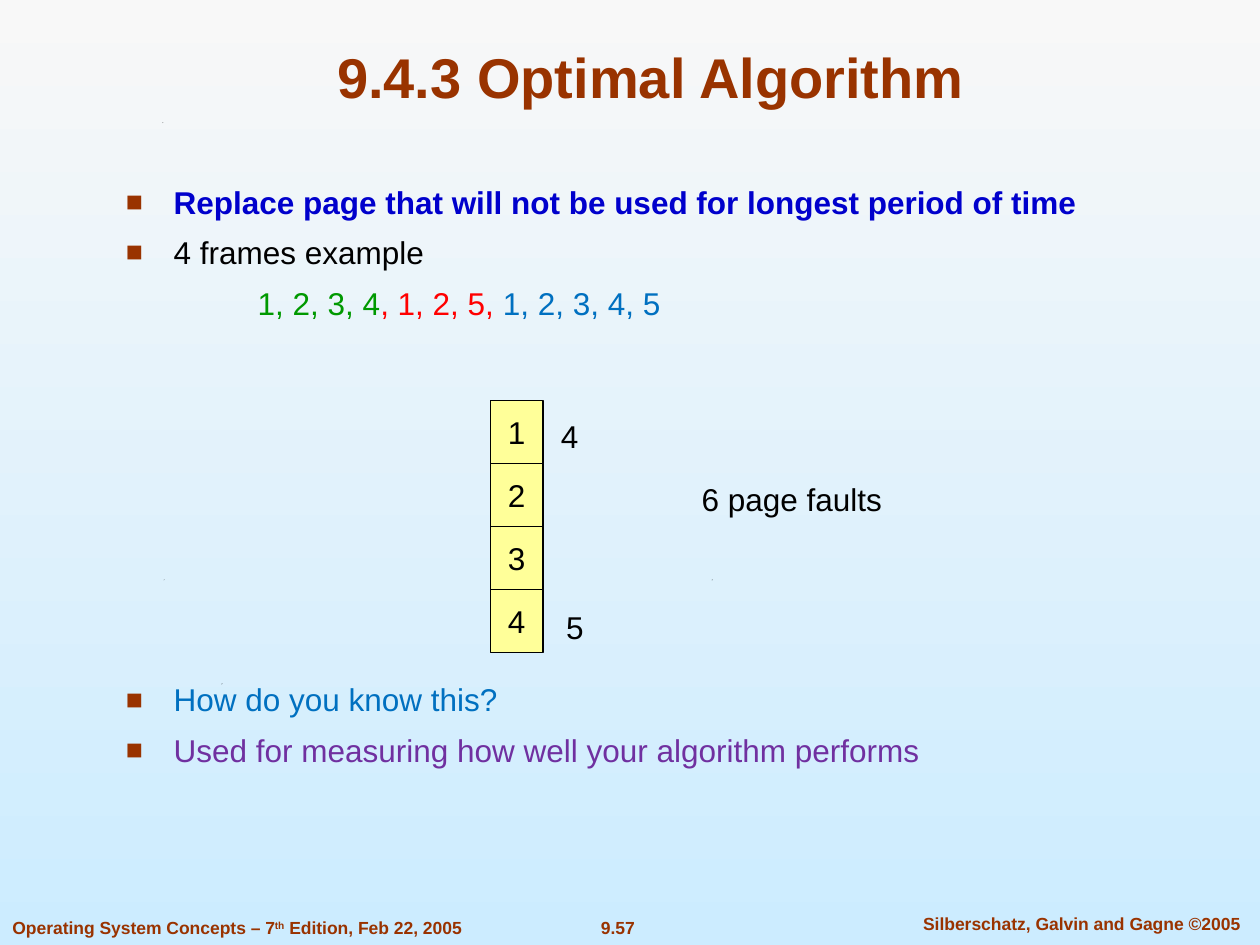
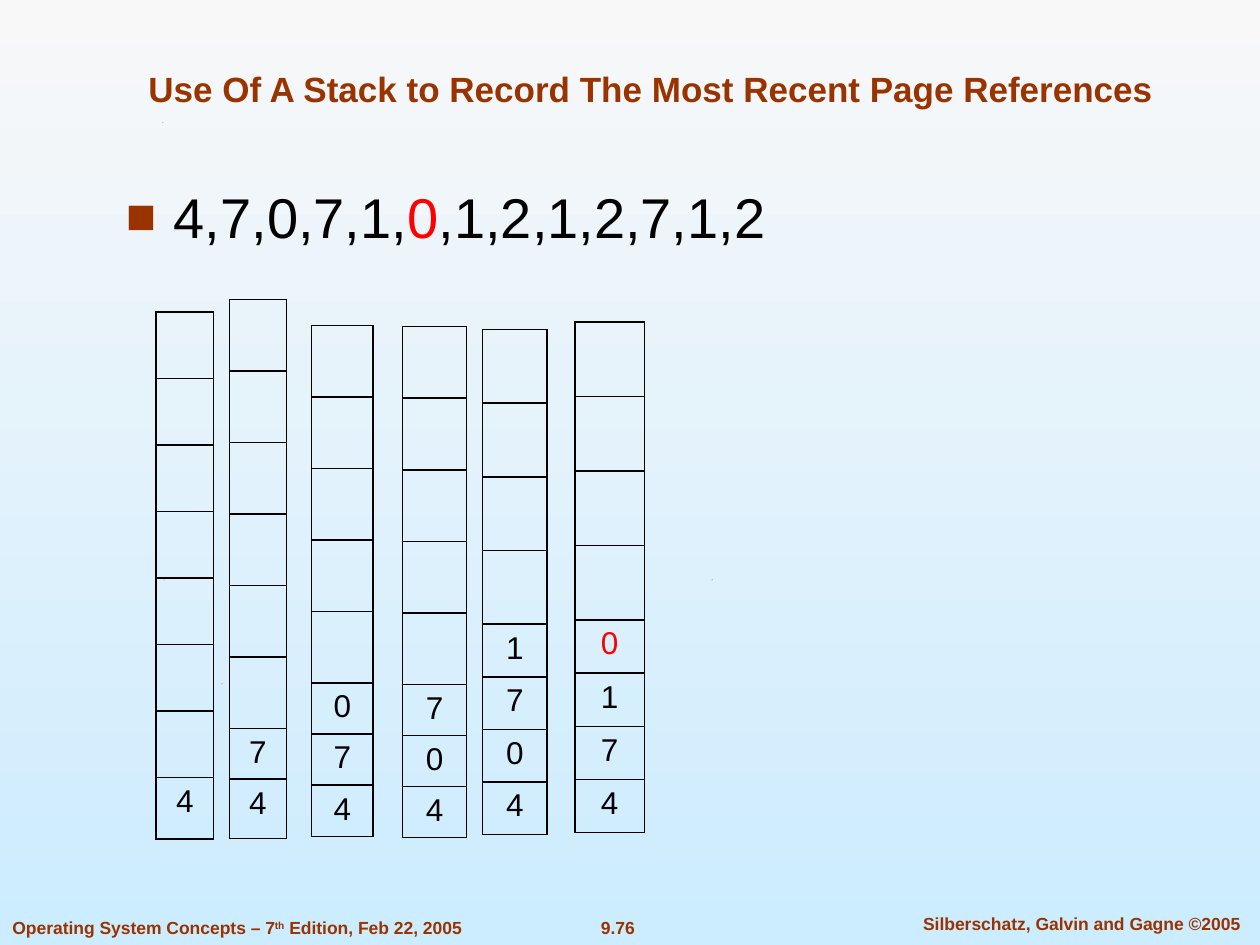
"""Build two lecture slides on page replacement."""
from dataclasses import dataclass

from lxml import etree
from pptx import Presentation
from pptx import util as u
from pptx.dml.color import RGBColor
from pptx.enum import shapes, text
from pptx.oxml import ns

Pt = u.Pt
MID, LEFT = text.PP_ALIGN.CENTER, text.PP_ALIGN.LEFT


@dataclass(frozen=True)
class Theme:
    """Colours and type sizes of the deck."""
    face: str = "Arial"
    top: str = "F8F8F8"
    base: str = "CCECFF"
    rust: str = "993300"
    ink: str = "000000"
    navy: str = "0000CC"
    green: str = "009900"
    red: str = "FF0000"
    blue: str = "0070C0"
    plum: str = "7030A0"
    cream: str = "FFFF99"
    head: int = 32
    sub: int = 20
    body: int = 18
    foot: int = 10
    rule: float = 0.75


T = Theme()


def rgb(code):
    """Turn a hex code into a colour."""
    return RGBColor.from_string(code)


def apply(item, fmt):
    """Set each attribute that the format dict names."""
    for key, val in fmt.items():
        setattr(item, key, val)


def sub(node, tag, **atts):
    """Append a drawing element to a node."""
    return etree.SubElement(node, ns.qn("a:" + tag), atts)


def span(para, words, size, tint=T.ink, bold=False, lift=None):
    """Add one formatted run."""
    run = para.add_run()
    run.text = words
    apply(run.font, dict(name=T.face, size=Pt(size), bold=bold))
    run.font.color.rgb = rgb(tint)
    if lift:
        run._r.get_or_add_rPr().set("baseline", str(lift))


def note(slide, box, runs, size=T.body, align=MID):
    """Add a one-line text box made of runs."""
    frame = slide.shapes.add_textbox(*map(Pt, box)).text_frame
    frame.word_wrap = True
    para = frame.paragraphs[0]
    para.alignment = align
    for words, fmt in runs:
        span(para, words, size, **fmt)


def points(slide, box, items, size=T.body):
    """Add a list of (indent, runs), where no indent means a bullet."""
    frame = slide.shapes.add_textbox(*map(Pt, box)).text_frame
    frame.word_wrap = True
    for i, (inset, runs) in enumerate(items):
        para = frame.add_paragraph() if i else frame.paragraphs[0]
        if i:
            para.space_before = Pt(7.25)
        props = para._p.get_or_add_pPr()
        props.set("marL", str(Pt(inset or 27.4)))
        props.set("indent", str(0 if inset else -Pt(27.4)))
        if not inset:
            sub(sub(props, "buClr"), "srgbClr", val=T.rust)
            sub(props, "buSzPct", val="90000")
            sub(props, "buFont", typeface=T.face)
            sub(props, "buChar", char="■")
        for words, fmt in runs:
            span(para, words, size, **fmt)


def paint(master):
    """Give the master its vertical gradient."""
    fill = master.background.fill
    fill.gradient()
    fill.gradient_angle = 270
    for stop, tint, pos in zip(fill.gradient_stops, (T.top, T.base), (0, 1)):
        stop.color.rgb = rgb(tint)
        stop.position = pos


def title(slide, box, words, size):
    """Place and format the title."""
    shape = slide.shapes.title
    apply(shape, dict(zip(("left", "top", "width", "height"), map(Pt, box))))
    frame = shape.text_frame
    apply(frame, dict(word_wrap=True, auto_size=text.MSO_AUTO_SIZE.NONE,
                      vertical_anchor=text.MSO_ANCHOR.BOTTOM))
    para = frame.paragraphs[0]
    para.alignment = MID
    span(para, words, size, T.rust, True)


def footer(slide, box, page):
    """Add the three footer texts inside the band."""
    x, y, w, h = box
    look = dict(tint=T.rust, bold=True)
    book = [("Operating System Concepts – 7", look),
            ("th", dict(look, lift=30000)),
            (" Edition, Feb 22, 2005", look)]
    note(slide, (x, y + 2.2, 290, h), book, T.foot, LEFT)
    note(slide, (x + 323, y + 2.2, 60, h), [(page, look)], T.foot)
    note(slide, (x + w - 208.8, y, 213.8, h),
         [("Silberschatz, Galvin and Gagne ©2005", look)], T.foot)


def specks(slide):
    """Scatter the tiny dark marks of the backdrop."""
    for x, y in ((126.7, 390.6), (93.6, 331.2), (406.8, 331.2), (92.9, 69.9)):
        pen = slide.shapes.build_freeform(Pt(x), Pt(y))
        pen.add_line_segments([(Pt(x + .5), Pt(y)), (Pt(x), Pt(y + .5))])
        mark = pen.convert_to_shape()
        mark.shadow.inherit = False
        mark.fill.solid()
        mark.fill.fore_color.rgb = rgb(T.ink)
        mark.line.fill.background()


def start(deck, words, size, page):
    """Open a slide with the shared parts."""
    slide = deck.slides.add_slide(deck.slide_layouts[5])
    specks(slide)
    title(slide, (54, 18, 635.8, 48.2), words, size)
    footer(slide, (0, 518.4, 720, 19.4), page)
    return slide


def frames(slide, box, names):
    """Stack equal page frames in the box."""
    x, y, w, h = box
    step = h / len(names)
    for i, name in enumerate(names):
        cell = slide.shapes.add_shape(
            shapes.MSO_SHAPE.RECTANGLE, *map(Pt, (x, y + i * step, w, step)))
        cell.shadow.inherit = False
        cell.fill.solid()
        cell.fill.fore_color.rgb = rgb(T.cream)
        cell.line.color.rgb = rgb(T.ink)
        cell.line.width = Pt(T.rule)
        apply(cell.text_frame, dict(
            word_wrap=False, vertical_anchor=text.MSO_ANCHOR.MIDDLE))
        para = cell.text_frame.paragraphs[0]
        para.alignment = MID
        span(para, name, T.body)


def stack(slide, box, rows, names, hot=None):
    """Draw a one-column table with its names at the bottom."""
    grid = slide.shapes.add_table(len(rows), 1, *map(Pt, box)).table
    apply(grid, dict(first_row=False, horz_banding=False))
    blank = len(rows) - len(names)
    for i, tall in enumerate(rows):
        grid.rows[i].height = Pt(tall)
        cell = grid.cell(i, 0)
        props = cell._tc.get_or_add_tcPr()
        for side in "LRTB":
            line = sub(props, "ln" + side, w=str(Pt(1)))
            sub(sub(line, "solidFill"), "srgbClr", val=T.ink)
        cell.fill.background()
        if i >= blank:
            para = cell.text_frame.paragraphs[0]
            para.alignment = MID
            name = names[i - blank]
            span(para, name, T.body, T.red if name == hot else T.ink)


def optimal(deck):
    """Build the slide on the optimal algorithm."""
    slide = start(deck, "9.4.3 Optimal Algorithm", T.head, "9.57")
    points(slide, (64.8, 100.8, 578.9, 90), [
        (None, [("Replace page that will not be used for longest period of time",
                 dict(tint=T.navy, bold=True))]),
        (None, [("4 frames example", {})]),
        (75.4, [("1, 2, 3, 4", dict(tint=T.green)),
                (", 1, 2, 5, ", dict(tint=T.red)),
                ("1, 2, 3, 4, 5", dict(tint=T.blue))])])
    points(slide, (64.8, 385.3, 578.9, 60), [
        (None, [("How do you know this?", dict(tint=T.blue))]),
        (None, [("Used for measuring how well your algorithm performs",
                 dict(tint=T.plum))])])
    frames(slide, (280.1, 229, 30.2, 144), "1234")
    for words, x, y, w in (("4", 305.5, 235, 40), ("5", 308.5, 343.7, 40),
                           ("6 page faults", 372.5, 271, 160)):
        note(slide, (x, y, w, 28.8), [(words, {})])


def recent(deck):
    """Build the slide on the stack of recent pages."""
    slide = start(deck, "Use Of A Stack to Record The Most Recent Page References",
                  T.sub, "9.76")
    points(slide, (64.8, 100.8, 578.9, 52.6), [
        (None, [("4,7,0,7,1,", {}), ("0", dict(tint=T.red)),
                (",1,2,1,2,7,1,2", {})])], T.head)
    for x, y, w, tall, low, last, names, hot in (
            (89.2, 178.3, 32.8, 38, 35.4, 35.4, "4", None),
            (131.2, 171.1, 32.4, 40.9, 28.9, 33.8, "74", None),
            (178, 185.9, 35.3, 40.9, 29.2, 29.2, "074", None),
            (230, 186.7, 36.6, 40.9, 29.2, 29.2, "704", None),
            (275.8, 188.3, 36.7, 42.1, 30.1, 30.1, "1704", None),
            (328.5, 184, 39.7, 42.6, 30.4, 30.4, "0174", "0")):
        count = len(names)
        rows = [tall] * (8 - count) + [low] * (count - 1) + [last]
        stack(slide, (x, y, w, sum(rows)), rows, names, hot)


def main():
    """Build and save the deck."""
    deck = Presentation()
    apply(deck, dict(slide_width=Pt(720), slide_height=Pt(540)))
    paint(deck.slide_master)
    optimal(deck)
    recent(deck)
    deck.save("out.pptx")


if __name__ == "__main__":
    main()
